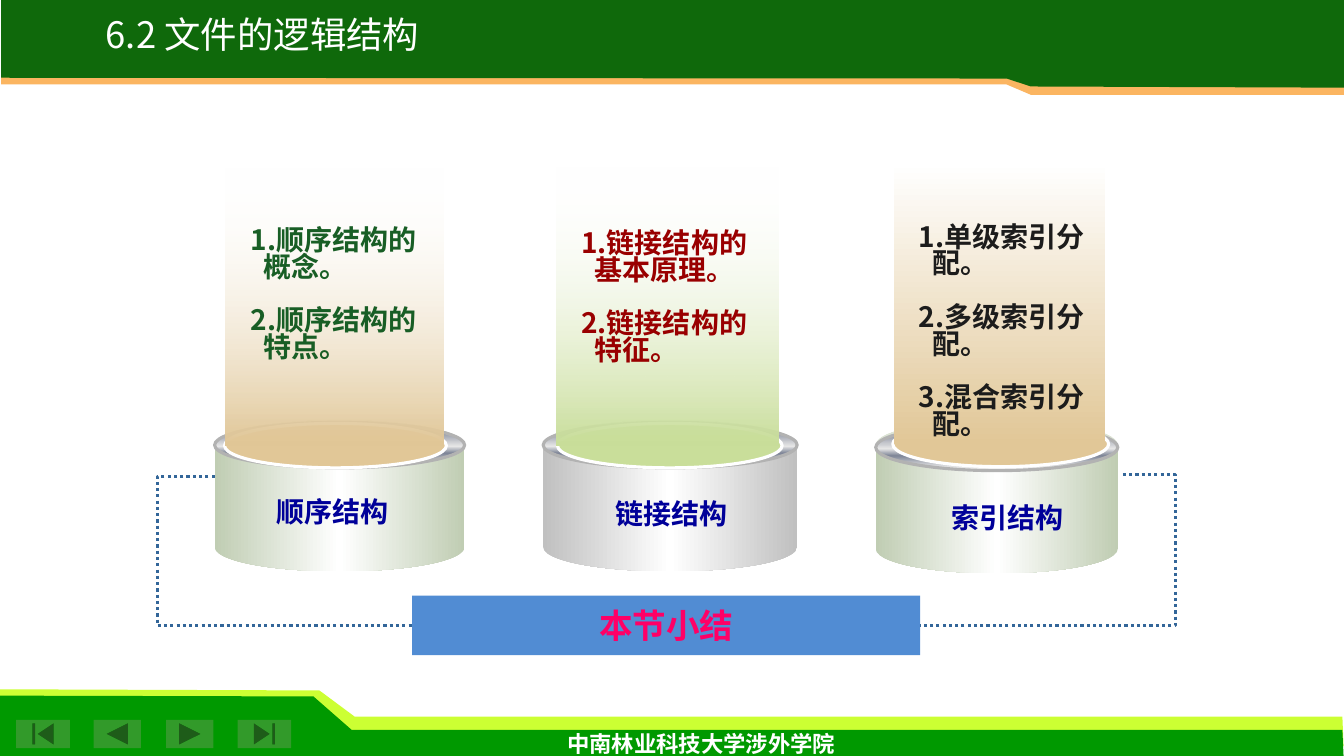
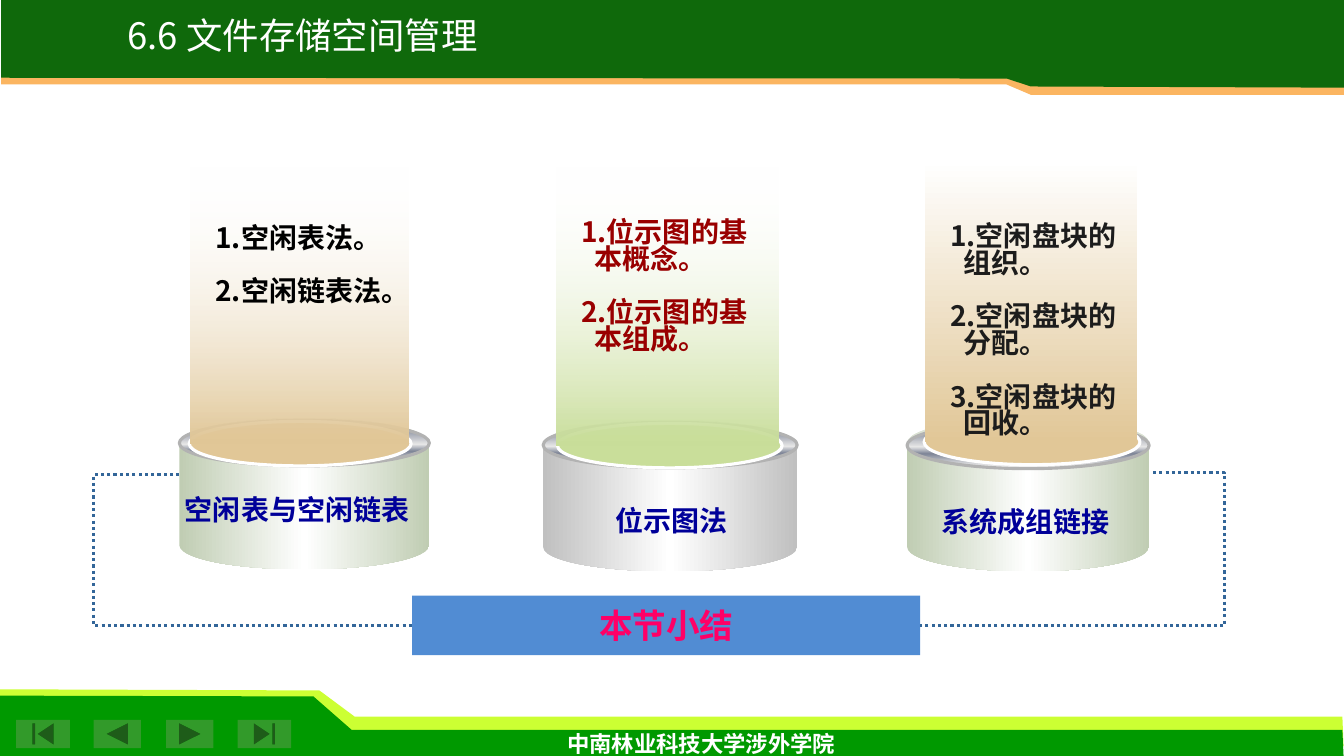
"""Build two section summaries with three drums each on a shared green frame."""
from collections import namedtuple

from lxml import etree
from pptx import Presentation
from pptx.dml.color import RGBColor
from pptx.enum.dml import MSO_LINE
from pptx.enum.shapes import MSO_CONNECTOR, MSO_SHAPE
from pptx.enum.text import MSO_ANCHOR, PP_ALIGN
from pptx.oxml.ns import qn
from pptx.util import Cm, Pt

CAN, OVAL, RECT = MSO_SHAPE.CAN, MSO_SHAPE.OVAL, MSO_SHAPE.RECTANGLE
FIRST = MSO_SHAPE.ACTION_BUTTON_BEGINNING
BACK = MSO_SHAPE.ACTION_BUTTON_BACK_OR_PREVIOUS
NEXT = MSO_SHAPE.ACTION_BUTTON_FORWARD_OR_NEXT
LAST = MSO_SHAPE.ACTION_BUTTON_END
ELBOW, DOTS = MSO_CONNECTOR.ELBOW, MSO_LINE.ROUND_DOT
MIDDLE, CENTER = MSO_ANCHOR.MIDDLE, PP_ALIGN.CENTER

WHITE = RGBColor(0xFF, 0xFF, 0xFF)
BLACK = RGBColor(0x00, 0x00, 0x00)
INK = RGBColor(0x1C, 0x1C, 0x1C)
LIME = RGBColor(0xCC, 0xFF, 0x33)
GREEN = RGBColor(0x00, 0x99, 0x00)
FOREST = RGBColor(0x0F, 0x69, 0x0B)
PINE = RGBColor(0x18, 0x5E, 0x25)
BUTTON = RGBColor(0x32, 0x9A, 0x2A)
ORANGE = RGBColor(0xFB, 0xB5, 0x61)
BLUE = RGBColor(0x51, 0x8C, 0xD3)
STEEL = RGBColor(0x33, 0x66, 0x99)
NAVY = RGBColor(0x00, 0x00, 0x99)
PINK = RGBColor(0xFF, 0x00, 0x66)
RED = RGBColor(0x99, 0x00, 0x00)
SAND = RGBColor(0xE1, 0xC7, 0x97)
LEAF = RGBColor(0xC9, 0xDE, 0x9A)
SAGE = RGBColor(0xC0, 0xCD, 0xB3)
SILVER = RGBColor(0xC0, 0xC0, 0xC0)
EDGE = RGBColor(0xB2, 0xB2, 0xB2)
PALE = RGBColor(0xE6, 0xE6, 0xE6)
SLATE = RGBColor(0x7D, 0x84, 0x96)

METAL = [(0, PALE), (15, SLATE), (53, PALE), (68, SLATE), (93, PALE), (100, WHITE)]
WIDE, HIGH = 33.87, 19.05
BANNER = (10.39, 15.01, 12.8, 1.5)

BANDS = [
    (LIME, [(0.03, 18.8), (33.86, 18.8), (33.83, 18.06), (8.94, 18.06),
            (8.05, 17.4), (0, 17.37)]),
    (GREEN, [(0, HIGH), (33.86, HIGH), (33.83, 18.39), (8.86, 18.39),
             (7.9, 17.55), (0, 17.53)]),
    (ORANGE, [(WIDE, 0), (0.03, 0), (0.03, 2.13), (25.37, 2.13),
              (25.98, 2.39), (WIDE, 2.39)]),
    (FOREST, [(WIDE, 0), (0.03, 0), (0.03, 1.96), (25.37, 1.98),
              (25.98, 2.18), (WIDE, 2.21)]),
]
BUTTONS = [(FIRST, 0.41, 1.35), (BACK, 2.36, 1.19), (NEXT, 4.19, 1.19), (LAST, 5.99, 1.35)]

Kind = namedtuple("Kind", "body glow fade can rim disc beam label")
Drum = namedtuple("Drum", "kind x y name spot items top ink")
Wire = namedtuple("Wire", "x y bend")

LEFT = Kind(SAGE, SAND, 0, (6.3, 3.81), (0.05, 1.15), (0.25, 0.08, 5.59, 1.12),
            (0.28, -6.38, 5.49, 7.01), 6.2)
MID = Kind(SILVER, LEAF, 0, (6.4, 3.81), (0.05, 1.15), (0.36, 0.08, 5.66, 1.12),
           (0.33, -6.38, 5.59, 7.01), 7.6)
RIGHT = Kind(SAGE, SAND, 100, (6.1, 3.86), (0.1, 1.17), (0.43, 0.03, 5.44, 1.14),
             (0.46, -6.5, 5.33, 7.11), 7.1)

PAGES = [
    ("6.2 文件的逻辑结构", 6.62, 0.38,
     [Wire(5.41, 12.01, 3.96), Wire(28.3, 11.96, 29.62)],
     [Drum(LEFT, 5.41, 10.59, "顺序结构", (5.28, 12.32),
           ["顺序结构的概念。", "顺序结构的特点。"], 5.64, PINE),
      Drum(MID, 13.69, 10.59, "链接结构", (13.13, 12.37),
           ["链接结构的基本原理。", "链接结构的特征。"], 5.72, RED),
      Drum(RIGHT, 22.07, 10.59, "索引结构", (21.84, 12.47),
           ["单级索引分配。", "多级索引分配。", "混合索引分配。"], 5.56, INK)]),
    ("6.6 文件存储空间管理", 7.63, 0.41,
     [Wire(4.52, 11.96, 2.36), Wire(29.06, 11.91, 30.86)],
     [Drum(LEFT, 4.52, 10.54, "空闲表与空闲链表", (4.39, 12.27),
           ["空闲表法。", "空闲链表法。"], 5.59, BLACK),
      Drum(MID, 13.69, 10.59, "位示图法", (13.13, 12.55),
           ["位示图的基本概念。", "位示图的基本组成。"], 5.44, RED),
      Drum(RIGHT, 22.86, 10.54, "系统成组链接", (22.3, 12.57),
           ["空闲盘块的组织。", "空闲盘块的分配。", "空闲盘块的回收。"], 5.54, INK)]),
]


def paint(shape, fill=None, line=None):
    """Drop the shadow and set a plain fill and outline."""
    shape.shadow.inherit = False
    if fill is not None:
        shape.fill.solid()
        shape.fill.fore_color.rgb = fill
    if line is None:
        shape.line.fill.background()
    else:
        shape.line.color.rgb = line
        shape.line.width = Pt(2.25)
    return shape


def block(slide, form, box, fill=None, line=None):
    """Add a preset shape at a box given in centimetres."""
    return paint(slide.shapes.add_shape(form, *map(Cm, box)), fill, line)


def blend(shape, stops, angle, fade=100):
    """Fill a shape with a gradient whose first stop has the given opacity."""
    shape.fill.gradient()
    shape.fill.gradient_angle = angle
    track = shape.element.find(".//" + qn("a:gsLst"))
    for old in list(track):
        track.remove(old)
    for spot, tint in stops:
        stop = etree.SubElement(track, qn("a:gs"), pos=str(spot * 1000))
        tone = etree.SubElement(stop, qn("a:srgbClr"), val=str(tint))
        if spot == 0 and fade < 100:
            etree.SubElement(tone, qn("a:alpha"), val=str(fade * 1000))


def style(para, size, ink, bold=True, face="Arial"):
    """Set the font of a paragraph."""
    font = para.font
    font.size, font.bold, font.name = Pt(size), bold, face
    font.color.rgb = ink


def write(shape, text, size, ink, **look):
    """Centre one line of text inside a shape."""
    frame = shape.text_frame
    frame.margin_left = frame.margin_right = frame.margin_top = frame.margin_bottom = 0
    frame.vertical_anchor, frame.word_wrap = MIDDLE, True
    para = frame.paragraphs[0]
    para.text, para.alignment = text, CENTER
    style(para, size, ink, **look)
    return frame


def note(slide, box):
    """Add an empty text box."""
    return slide.shapes.add_textbox(*map(Cm, box))


def points(slide, box, items, ink):
    """Add a numbered list."""
    frame = note(slide, box).text_frame
    frame.word_wrap = True
    for rank, item in enumerate(items):
        para = frame.add_paragraph() if rank else frame.paragraphs[0]
        para.text = item
        props = para._p.get_or_add_pPr()
        props.set("marL", str(Cm(0.33)))
        props.set("indent", str(-Cm(0.33)))
        etree.SubElement(props, qn("a:buAutoNum"), type="arabicPeriod")
        para.line_spacing = 0.8
        para.space_before = Pt(19 if rank else 0)
        style(para, 20, ink)


def band(slide, tint, spots):
    """Add a closed outline through the given spots."""
    start, *rest = [(Cm(x), Cm(y)) for x, y in spots]
    pen = slide.shapes.build_freeform(*start, scale=1)
    pen.add_line_segments(rest, close=True)
    paint(pen.convert_to_shape(), tint)


def wire(slide, start, end):
    """Add a dotted elbow that swings out to its bend."""
    link = slide.shapes.add_connector(ELBOW, Cm(start.x), Cm(start.y), *map(Cm, end))
    link.line.color.rgb = STEEL
    link.line.width, link.line.dash_style = Pt(2.25), DOTS
    ratio = (start.bend - start.x) / (end[0] - start.x)
    guides = link.element.find(".//" + qn("a:avLst"))
    etree.SubElement(guides, qn("a:gd"), name="adj1", fmla=f"val {round(ratio * 100000)}")
    etree.SubElement(link.element.find(qn("p:spPr")), qn("a:effectLst"))


def drum(slide, unit):
    """Add a can with a glowing beam, its list and its label."""
    kind, x, y = unit.kind, unit.x, unit.y
    can = block(slide, CAN, (x, y, *kind.can))
    can.adjustments[0] = 0.32
    blend(can, [(0, kind.body), (50, WHITE), (100, kind.body)], 0)
    drop, thick = kind.rim
    rim = block(slide, OVAL, (x, y + drop, kind.can[0], thick), line=EDGE)
    blend(rim, METAL, 270)
    dx, dy, *size = kind.disc
    block(slide, OVAL, (x + dx, y + dy, *size), kind.glow, WHITE)
    dx, dy, wide, high = kind.beam
    beam = block(slide, RECT, (x + dx, y + dy, wide, high))
    blend(beam, [(0, WHITE), (100, kind.glow)], 270, kind.fade)
    points(slide, (x + dx + 0.38, unit.top, wide - 0.25, 5), unit.items, unit.ink)
    write(note(slide, (*unit.spot, kind.label, 1.12)), unit.name, 20, NAVY)


def frame(slide, layout):
    """Draw the shared bands, buttons and footer, and move them to the layout."""
    for holder in list(layout.placeholders):
        holder.element.getparent().remove(holder.element)
    for tint, spots in BANDS:
        band(slide, tint, spots)
    for form, x, wide in BUTTONS:
        block(slide, form, (x, 18.14, wide, 0.71), BUTTON)
    foot = note(slide, (10.54, 18.26, 14.27, 0.94))
    write(foot, "中南林业科技大学涉外学院", 16, WHITE, face="Times New Roman")
    for shape in list(slide.shapes):
        layout.shapes.element.append(shape.element)


def page(slide, title, mid, top, wires, drums):
    """Fill one summary slide."""
    x, y, wide, high = BANNER
    write(block(slide, RECT, BANNER, BLUE), "本节小结", 24, PINK)
    for start, side in zip(wires, (x, x + wide)):
        wire(slide, start, (side, y + high / 2))
    for unit in drums:
        drum(slide, unit)
    head = note(slide, (mid - 5.5, top, 11, 1.17))
    text = write(head, title, 26, WHITE, bold=False, face="Noto Sans CJK SC")
    text.word_wrap = False
    text.paragraphs[0].line_spacing = 0.8


def main():
    """Build and save the deck."""
    deck = Presentation()
    deck.slide_width, deck.slide_height = Cm(WIDE), Cm(HIGH)
    layout = deck.slide_layouts[6]
    for rank, facts in enumerate(PAGES):
        slide = deck.slides.add_slide(layout)
        if rank == 0:
            frame(slide, layout)
        page(slide, *facts)
    deck.save("out.pptx")


if __name__ == "__main__":
    main()
